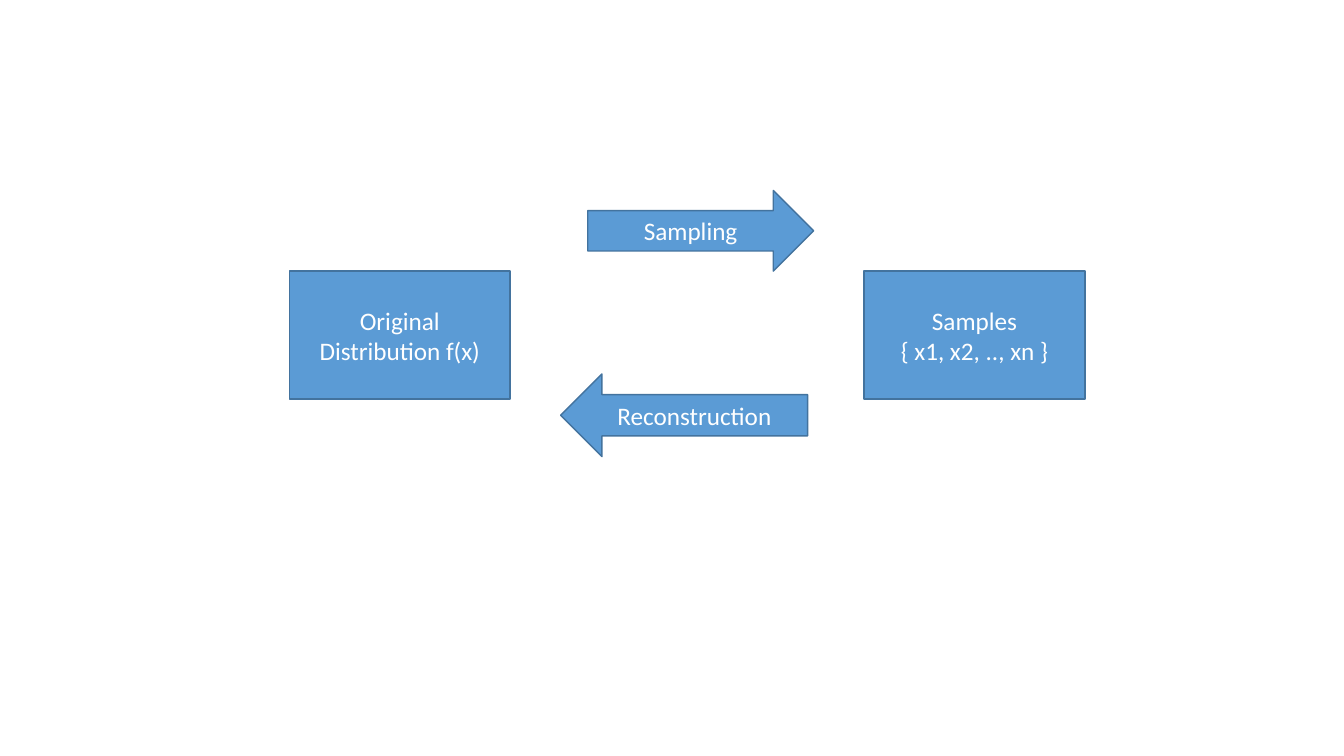
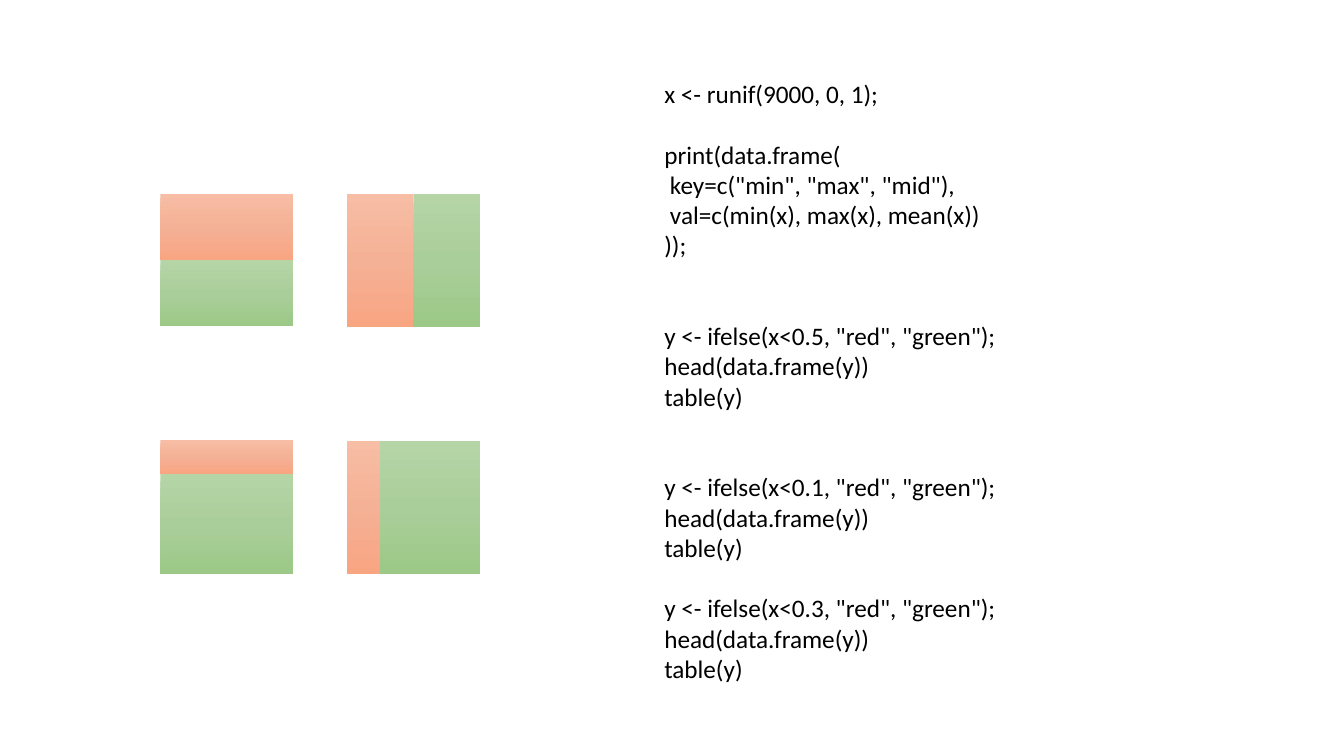
"""Build two slides on sampling from a distribution."""
from copy import deepcopy
from dataclasses import dataclass

from pptx import Presentation
from pptx import util as u
from pptx.dml.color import RGBColor as Rgb
from pptx.enum import shapes, text

PX = 9144
KIND = shapes.MSO_SHAPE


@dataclass
class Theme:
    font: str = "Calibri"
    size: int = 18
    row: float = 21.6
    ink: str = "000000"
    paper: str = "FFFFFF"
    blue: str = "5B9BD5"
    edge: str = "43739E"
    red: tuple = ("F7BDA5", "F5B196", "F8A582")
    green: tuple = ("B5D5A7", "AACE9A", "9CC987")


theme = Theme()
deck = Presentation()
deck.slide_width, deck.slide_height = 1333 * PX, 750 * PX
blank = deck.slide_layouts[6]


def draw(slide, kind, *area):
    shape = slide.shapes.add_shape(kind, *[n * PX for n in area])
    shape.shadow.inherit = False
    return shape


def write(frame, lines, color, align):
    frame.word_wrap = True
    for i, (gap, line) in enumerate(lines):
        para = frame.paragraphs[0] if i == 0 else frame.add_paragraph()
        para.alignment = align
        para.space_before = u.Pt(gap * theme.row)
        run = para.add_run()
        run.text = line
        run.font.name = theme.font
        run.font.size = u.Pt(theme.size)
        run.font.color.rgb = Rgb.from_string(color)


flow = deck.slides.add_slide(blank)
nodes = [
    (KIND.RECTANGLE, (287, 269, 219, 127), ["Original Distribution f(x)"]),
    (KIND.RECTANGLE, (857, 269, 219, 127), ["Samples", "{ x1, x2, .., xn }"]),
    (KIND.RIGHT_ARROW, (583, 189, 224, 80), ["Sampling"]),
    (KIND.LEFT_ARROW, (556, 371, 245, 82), ["Reconstruction"]),
]
for kind, area, lines in nodes:
    node = draw(flow, kind, *area)
    node.fill.solid()
    node.fill.fore_color.rgb = Rgb.from_string(theme.blue)
    node.line.color.rgb = Rgb.from_string(theme.edge)
    node.line.width = u.Pt(1)
    node.text_frame.vertical_anchor = text.MSO_ANCHOR.MIDDLE
    write(node.text_frame, [(0, line) for line in lines],
          theme.paper, text.PP_ALIGN.CENTER)

split = deck.slides.add_slide(blank)
side, left, right = 132, 159, 344
for top, cut in ((192, side // 2), (437, side // 4)):
    rest = side - cut
    parts = [
        (theme.red, (left, top, side, cut)),
        (theme.green, (left, top + cut, side, rest)),
        (theme.red, (right, top, cut, side)),
        (theme.green, (right + cut, top, rest, side)),
    ]
    for tones, area in parts:
        part = draw(split, KIND.RECTANGLE, *area)
        part.line.fill.background()
        part.fill.gradient()
        part.fill.gradient_angle = 270
        stops = part.element.xpath(".//a:gsLst")[0]
        stops.insert(1, deepcopy(stops[0]))
        for i, stop in enumerate(part.fill.gradient_stops):
            stop.position = i / 2
            stop.color.rgb = Rgb.from_string(tones[i])

blocks = [
    (0, ["x <- runif(9000, 0, 1);"]),
    (1, ["print(data.frame(",
         ' key=c("min", "max", "mid"),',
         " val=c(min(x), max(x), mean(x))",
         "));"]),
]
for gap, bound in ((2, 0.5), (2, 0.1), (1, 0.3)):
    blocks.append((gap, [f'y <- ifelse(x<{bound}, "red", "green");',
                         "head(data.frame(y))",
                         "table(y)"]))
code = [(0 if i else gap, line)
        for gap, lines in blocks for i, line in enumerate(lines)]
note = split.shapes.add_textbox(649 * PX, 73 * PX, 529 * PX, 616 * PX)
write(note.text_frame, code, theme.ink, text.PP_ALIGN.LEFT)
note.text_frame.auto_size = text.MSO_AUTO_SIZE.SHAPE_TO_FIT_TEXT

deck.save("out.pptx")
